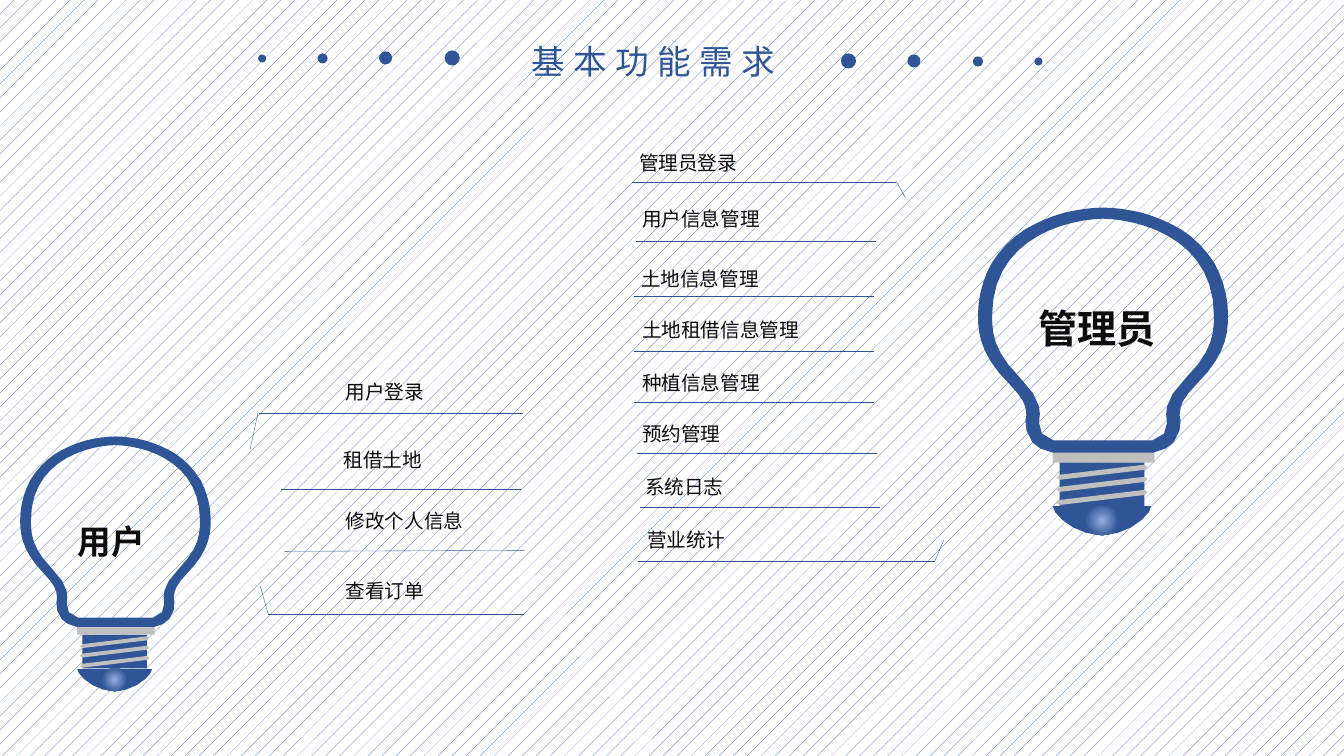
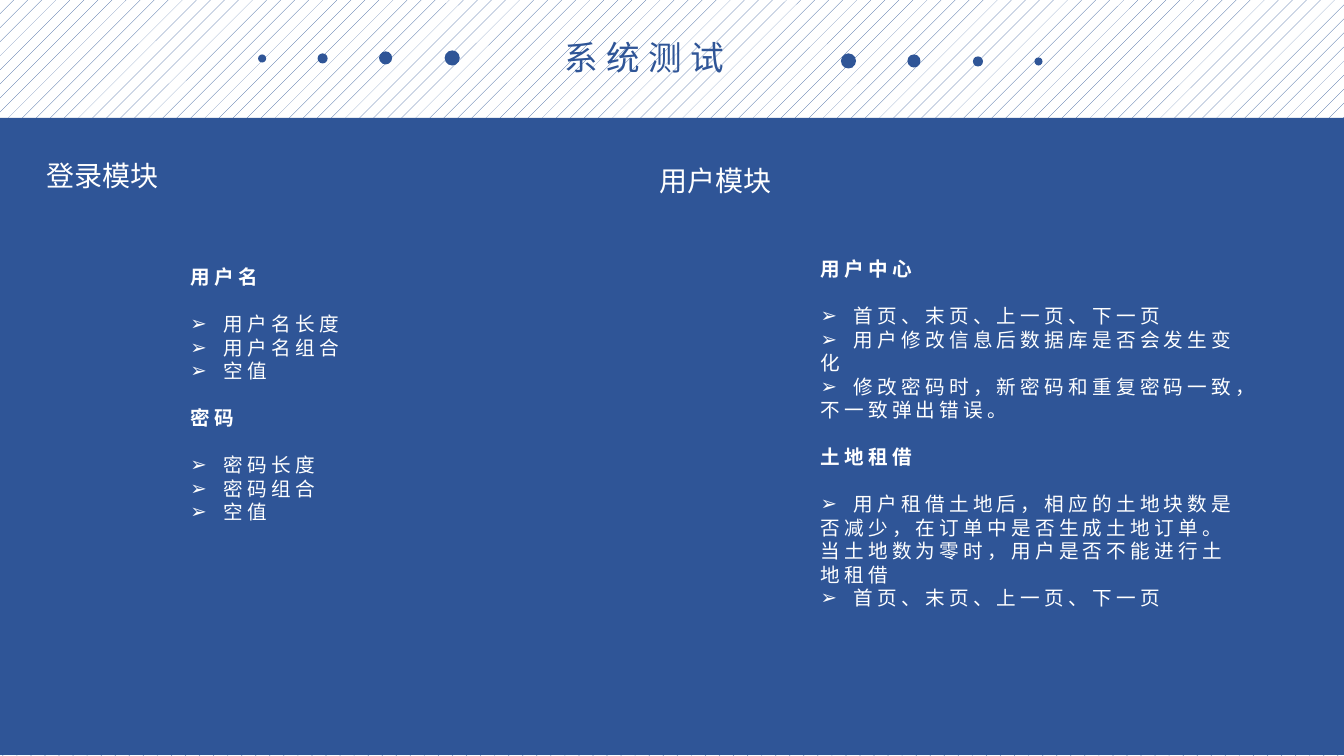
"""Builds two slides: the basic functional requirements and the system tests."""
from math import dist
from lxml.etree import SubElement
from pptx import Presentation
from pptx.dml.color import RGBColor
from pptx.enum.dml import MSO_PATTERN
from pptx.enum.shapes import MSO_CONNECTOR, MSO_SHAPE
from pptx.enum.text import MSO_AUTO_SIZE
from pptx.oxml.ns import qn
from pptx.util import Pt

PX = 9144
SLIDE_SIZE = (1333, 750)
COLORS = {"blue": "2F5597", "glow": "8FAADC", "grey": "BFBFBF", "ink": "0D0D0D", "white": "FFFFFF"}
SANS = "Noto Sans CJK SC"
TITLE_STYLE = dict(size=24, color="blue", font="Noto Sans CJK JP", tracking=6)
ITEM_STYLE = dict(size=14, color="ink", font=SANS)
HEADING_STYLE = dict(size=20, color="white", font=SANS)
CASE_STYLE = dict(size=14, color="white", font=SANS, tracking=3)
CASE_GAP = 16.8

DOTS = [
    (256, 54, 8), (315, 53, 10), (376, 51, 13), (441, 50, 15),
    (834, 53, 15), (900, 54, 13), (965, 56, 10), (1026, 57, 8),
]

REQUIREMENTS_TITLE = ("基本功能需求", (517, 36, 273, 50))
MENU_ITEMS = [
    ("管理员登录", 624, 133, 1.5),
    ("用户信息管理", 627, 189, 1.5),
    ("土地信息管理", 626, 248, 1.5),
    ("土地租借信息管理", 627, 299, 1.5),
    ("种植信息管理", 627, 351, 1.5),
    ("预约管理", 627, 402, 1.5),
    ("系统日志", 630, 455, 1.5),
    ("营业统计", 632, 507, 1.5),
    ("用户登录", 333, 360, 1.5),
    ("租借土地", 331, 428, 1.5),
    ("修改个人信息", 333, 500, 1),
    ("查看订单", 333, 558, 1.5),
]
RULES = [
    (889, 181, 627, 181), (898, 196, 889, 180),
    (869, 239, 631, 239), (867, 294, 629, 294), (867, 348, 629, 348),
    (867, 399, 629, 399), (870, 450, 632, 450), (873, 503, 635, 503),
    (927, 557, 633, 557), (927, 557, 936, 536),
    (257, 410, 519, 410), (248, 446, 256, 409),
    (517, 485, 279, 485), (520, 546, 282, 547),
    (266, 609, 520, 609), (266, 609, 258, 581),
]
ROLES = [
    ("管理员", (1020, 274, 143, 73), 28, "Calibri", (970, 206, 248, 243)),
    ("用户", (67, 492, 101, 71), 24, "Arial", (20, 433, 189, 189)),
]

GLASS_SIZE = (248, 243)
GLASS_OUTER = [
    (124, 0), (112, 0), (99, 2), (86, 5), (71, 9), (58, 15), (46, 22),
    (32, 31), (21, 43), (13, 56), (5, 71), (0, 88), (0, 107),
    (0, 126), (3, 147), (31, 175), (41, 185), (46, 193), (47, 198),
    (49, 202), (48, 205), (48, 206), (47, 208), (45, 222), (54, 233),
    (58, 238), (65, 241), (74, 243),
]
GLASS_INNER = [
    (124, 11), (85, 12), (14, 32), (14, 107), (14, 124), (15, 142), (41, 168),
    (66, 192), (61, 208), (61, 208), (61, 208), (57, 229), (75, 231),
]
TIP = [(74, 296), (74, 304), (96, 325), (123, 325)]
TIP_SPAN = 246
COLLAR = (74, 238, 101, 15)
SOCKET = (81, 253, 84, 43)
THREAD = [(81, 270), (78, 268), (81, 265), (165, 255), (168, 257), (166, 260)]
THREAD_DROPS = [0, 12, 25]
CURVE_STEP = 12

TESTS_TITLE = ("系统测试", (550, 32, 188, 50))
PANEL = (0, 117, 1333, 632)
BULLET_TAB = 33
MODULES = [
    ("登录模块", (36, 152, 132, 44), (179, 258, 443, 293), [
        ("用户名", ["用户名长度", "用户名组合", "空值"]),
        ("密码", ["密码长度", "密码组合", "空值"]),
    ]),
    ("用户模块", (644, 157, 132, 44), (804, 250, 443, 410), [
        ("用户中心", [
            "首页、末页、上一页、下一页",
            "用户修改信息后数据库是否会发生变化",
            "修改密码时，新密码和重复密码一致，不一致弹出错误。",
        ]),
        ("土地租借", [
            "用户租借土地后，相应的土地块数是否减少，在订单中是否生成土地订单。"
            "当土地数为零时，用户是否不能进行土地租借",
            "首页、末页、上一页、下一页",
        ]),
    ]),
]


def rgb(color):
    return RGBColor.from_string(COLORS[color])


def emu(lengths):
    return [round(length * PX) for length in lengths]


def paint(shape, color):
    shape.shadow.inherit = False
    shape.fill.solid()
    shape.fill.fore_color.rgb = rgb(color)
    shape.line.fill.background()
    return shape


def add_block(shapes, kind, box, color):
    return paint(shapes.add_shape(kind, *emu(box)), color)


def add_outline(shapes, contours, color):
    first, *others = [[emu(point) for point in contour] for contour in contours]
    builder = shapes.build_freeform(*first[0])
    builder.add_line_segments(first[1:], close=True)
    for contour in others:
        builder.move_to(*contour[0])
        builder.add_line_segments(contour[1:], close=True)
    return paint(builder.convert_to_shape(), color)


def add_rule(shapes, ends):
    rule = shapes.add_connector(MSO_CONNECTOR.STRAIGHT, *emu(ends))
    rule.line.color.rgb = rgb("blue")
    rule.line.width = Pt(0.25)
    SubElement(rule._element.spPr, qn("a:effectLst"))


def add_frame(shapes, box, wrap=True):
    frame = shapes.add_textbox(*emu(box)).text_frame
    frame.word_wrap = wrap
    frame.auto_size = MSO_AUTO_SIZE.SHAPE_TO_FIT_TEXT
    return frame


def add_run(paragraph, text, size, color, font, bold=False, tracking=0):
    run = paragraph.add_run()
    run.text = text
    run.font.size = Pt(size)
    run.font.bold = bold
    run.font.name = font
    run.font.color.rgb = rgb(color)
    properties = run.font._element
    SubElement(properties, qn("a:ea")).set("typeface", font)
    if tracking:
        properties.set("spc", str(tracking * 100))


def add_label(shapes, text, box, style, wrap=True, spacing=None):
    paragraph = add_frame(shapes, box, wrap).paragraphs[0]
    paragraph.line_spacing = spacing
    add_run(paragraph, text, **style)


def add_bullet(paragraph):
    properties = paragraph._p.get_or_add_pPr()
    properties.set("marL", "0")
    properties.set("indent", "0")
    SubElement(properties, qn("a:buFont")).set("typeface", "Arial")
    SubElement(properties, qn("a:buChar")).set("char", "➢")
    tab = SubElement(SubElement(properties, qn("a:tabLst")), qn("a:tab"))
    tab.set("pos", str(BULLET_TAB * PX))
    tab.set("algn", "l")


def add_cases(shapes, box, groups):
    frame = add_frame(shapes, box)
    for index, (subject, cases) in enumerate(groups):
        heading = frame.add_paragraph() if index else frame.paragraphs[0]
        heading.space_before = Pt(CASE_GAP if index else 0)
        heading.space_after = Pt(CASE_GAP)
        add_run(heading, subject, bold=True, **CASE_STYLE)
        for case in cases:
            paragraph = frame.add_paragraph()
            add_bullet(paragraph)
            add_run(paragraph, "\t" + case, **CASE_STYLE)


def trace(points):
    curve = [points[0]]
    for start in range(0, len(points) - 1, 3):
        controls = points[start:start + 4]
        steps = 1 + int(dist(controls[0], controls[3]) / CURVE_STEP)
        for step in range(1, steps + 1):
            t = step / steps
            weights = ((1 - t) ** 3, 3 * t * (1 - t) ** 2, 3 * t * t * (1 - t), t ** 3)
            curve.append(tuple(
                sum(weight * point[axis] for weight, point in zip(weights, controls))
                for axis in (0, 1)))
    return curve


def mirrored(points, span=GLASS_SIZE[0]):
    half = trace(points)
    return half + [(span - x, y) for x, y in reversed(half) if 2 * x != span]


def glow(tip):
    tip.fill.gradient()
    stops = tip.fill.gradient_stops
    for stop, position, color in zip(stops, (0.02, 0.33), ("glow", "blue")):
        stop.position = position
        stop.color.rgb = rgb(color)
    gradient = tip._element.spPr.find(qn("a:gradFill"))
    gradient.remove(gradient.find(qn("a:lin")))
    circle = SubElement(gradient, qn("a:path"))
    circle.set("path", "circle")
    center = SubElement(circle, qn("a:fillToRect"))
    for side in "ltrb":
        center.set(side, "50000")


def add_bulb(slide, glass_box):
    left, top, width, height = glass_box
    x_scale, y_scale = width / GLASS_SIZE[0], height / GLASS_SIZE[1]
    shapes = slide.shapes.add_group_shape().shapes

    def place(points, drop=0):
        return [(left + x * x_scale, top + (y + drop) * y_scale) for x, y in points]

    for (x, y, w, h), color in ((COLLAR, "grey"), (SOCKET, "blue")):
        box = (left + x * x_scale, top + y * y_scale, w * x_scale, h * y_scale)
        add_block(shapes, MSO_SHAPE.RECTANGLE, box, color)
    glow(add_outline(shapes, [place(mirrored(TIP, TIP_SPAN))], "blue"))
    for drop in THREAD_DROPS:
        add_outline(shapes, [place(THREAD, drop)], "grey")
    add_outline(shapes, [place(mirrored(edge)) for edge in (GLASS_OUTER, GLASS_INNER)], "blue")


def add_titled_slide(deck, title, box):
    slide = deck.slides.add_slide(deck.slide_layouts[6])
    backdrop = slide.background.fill
    backdrop.patterned()
    backdrop.pattern = MSO_PATTERN.PERCENT_5
    backdrop.fore_color.rgb = rgb("blue")
    backdrop.back_color.rgb = rgb("white")
    dots = slide.shapes.add_group_shape().shapes
    for left, top, size in DOTS:
        add_block(dots, MSO_SHAPE.OVAL, (left, top, size, size), "blue")
    add_label(slide.shapes, title, box, TITLE_STYLE, wrap=False)
    return slide


def build_requirements(deck):
    slide = add_titled_slide(deck, *REQUIREMENTS_TITLE)
    for ends in RULES:
        add_rule(slide.shapes, ends)
    for text, left, top, spacing in MENU_ITEMS:
        box = (left, top, 187, 10 + round(23.3 * spacing))
        add_label(slide.shapes, text, box, ITEM_STYLE, spacing=spacing)
    for role, box, size, font, glass_box in ROLES:
        add_bulb(slide, glass_box)
        style = dict(size=size, color="ink", font=font, bold=True)
        add_label(slide.shapes, role, box, style, spacing=1.5)


def build_tests(deck):
    slide = add_titled_slide(deck, *TESTS_TITLE)
    add_block(slide.shapes, MSO_SHAPE.RECTANGLE, PANEL, "blue")
    for module, heading_box, cases_box, groups in MODULES:
        add_label(slide.shapes, module, heading_box, HEADING_STYLE, wrap=False)
        add_cases(slide.shapes, cases_box, groups)


def main():
    deck = Presentation()
    deck.slide_width, deck.slide_height = emu(SLIDE_SIZE)
    build_requirements(deck)
    build_tests(deck)
    deck.save("out.pptx")


if __name__ == "__main__":
    main()
